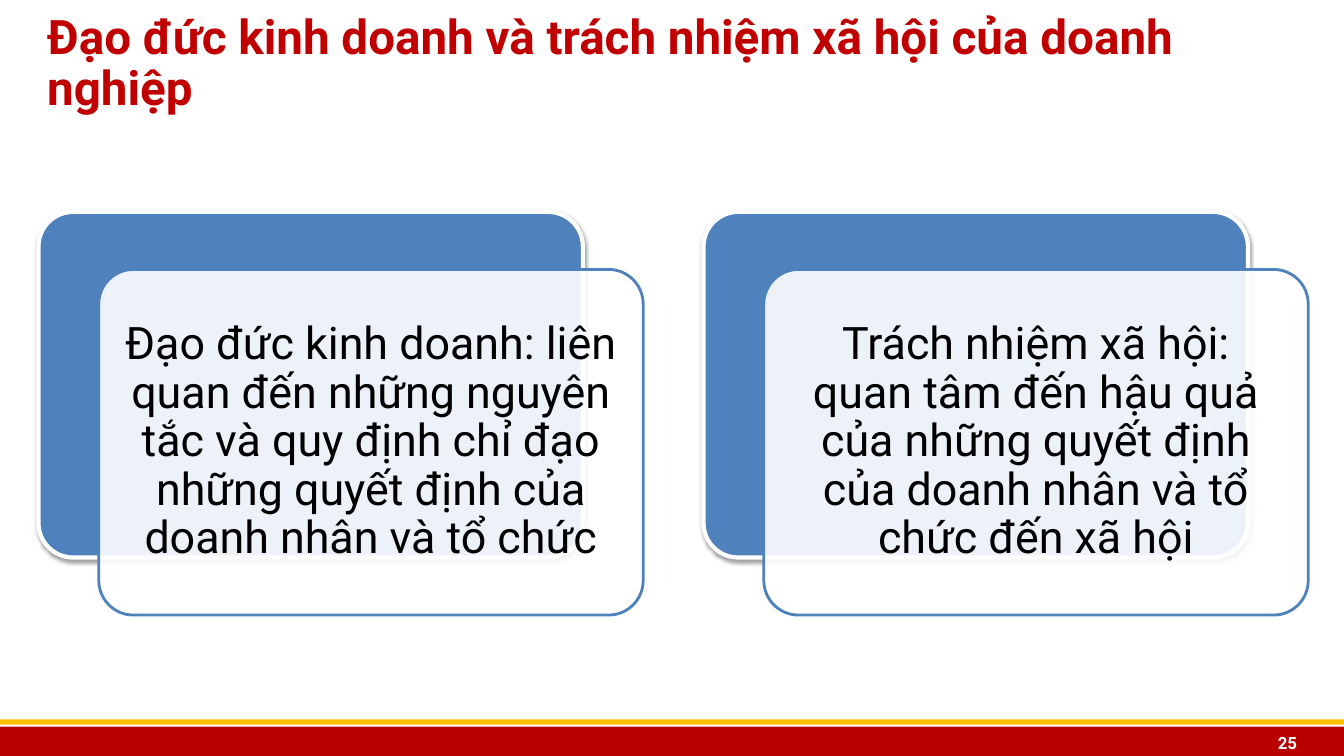
"""Build a slide on business ethics and corporate social responsibility."""
import dataclasses

import lxml.etree
import pptx
import pptx.dml.color
import pptx.enum.shapes
import pptx.enum.text
import pptx.oxml.ns
import pptx.util

Cm = pptx.util.Cm
Pt = pptx.util.Pt
ALIGN = pptx.enum.text.PP_ALIGN
SHAPE = pptx.enum.shapes.MSO_SHAPE
qn = pptx.oxml.ns.qn


@dataclasses.dataclass(frozen=True)
class Theme:
    """Colours, font and type sizes of the slide."""
    font: str = "Roboto"
    title: str = "C00000"
    band: str = "B80000"
    gold: str = "FFC000"
    blue: str = "4F81BD"
    white: str = "FFFFFF"
    black: str = "000000"
    title_size: int = 34
    card_size: int = 32
    number_size: int = 12


THEME = Theme()
WIDTH, HEIGHT = 33.87, 19.05
TITLE = "Đạo đức kinh doanh và trách nhiệm xã hội của doanh nghiệp"
CARDS = [
    "Đạo đức kinh doanh: liên quan đến những nguyên tắc và quy định chỉ đạo "
    "những quyết định của doanh nhân và tổ chức",
    "Trách nhiệm xã hội: quan tâm đến hậu quả của những quyết định của "
    "doanh nhân và tổ chức đến xã hội",
]


def colour(code):
    """Turn a hex code into a colour."""
    return pptx.dml.color.RGBColor.from_string(code)


def write(shape, text, size, code, align, bold=False, inset=(0.25, 0.13), spacing=1.0):
    """Write one middle-anchored paragraph into a shape."""
    frame = shape.text_frame
    frame.word_wrap = True
    frame.auto_size = pptx.enum.text.MSO_AUTO_SIZE.NONE
    frame.vertical_anchor = pptx.enum.text.MSO_ANCHOR.MIDDLE
    frame.margin_left = frame.margin_right = Cm(inset[0])
    frame.margin_top = frame.margin_bottom = Cm(inset[1])
    para = frame.paragraphs[0]
    para.alignment = align
    para.line_spacing = spacing
    para.space_before = Pt(0)
    span = para.add_run()
    span.text = text
    span.font.name = THEME.font
    span.font.size = Pt(size)
    span.font.bold = bold
    span.font.color.rgb = colour(code)


def add_panel(page, kind, box, fill, line=None, line_width=0):
    """Add a filled preset shape, outlined when a line colour is given."""
    panel = page.shapes.add_shape(kind, *map(Cm, box))
    panel.shadow.inherit = False
    panel.fill.solid()
    panel.fill.fore_color.rgb = colour(fill)
    if line:
        panel.line.color.rgb = colour(line)
        panel.line.width = Pt(line_width)
    else:
        panel.line.fill.background()
    return panel


def set_alpha(colour_element, percent):
    """Set the opacity of a colour element."""
    alpha = lxml.etree.SubElement(colour_element, qn("a:alpha"))
    alpha.set("val", str(percent * 1000))


def add_shadow(panel):
    """Give a panel a soft shadow that falls downwards."""
    effects = panel._element.spPr.find(qn("a:effectLst"))
    shadow = lxml.etree.SubElement(effects, qn("a:outerShdw"))
    shadow.set("blurRad", str(Pt(3.1)))
    shadow.set("dist", str(Pt(1.6)))
    shadow.set("dir", "5400000")
    shadow.set("rotWithShape", "0")
    tint = lxml.etree.SubElement(shadow, qn("a:srgbClr"), val=THEME.black)
    set_alpha(tint, 38)


def add_title(page, box):
    """Place and format the title placeholder."""
    title = page.shapes.title
    title.left, title.top, title.width, title.height = map(Cm, box)
    write(title, TITLE, THEME.title_size, THEME.title, ALIGN.LEFT, bold=True, spacing=0.9)
    title.text_frame.paragraphs[0].space_after = Pt(6)


def add_footer(page, box, number):
    """Draw the gold rule, the red band and the page number."""
    left, top, width, height = box
    add_panel(page, SHAPE.RECTANGLE, (left, top, width, 0.13), THEME.gold)
    band_box = (left, top + 0.18, width, height - 0.18)
    add_panel(page, SHAPE.RECTANGLE, band_box, THEME.band)
    number_box = (left + width - 3.14, top + 0.2, 2.21, 0.79)
    label = page.shapes.add_textbox(*map(Cm, number_box))
    write(label, number, THEME.number_size, THEME.white, ALIGN.RIGHT, bold=True, inset=(0.25, 0))


def add_card(page, box, text):
    """Draw a blue panel with a translucent text panel offset over it."""
    left, top, width, height = box
    shift_x, shift_y = 1.52, 1.45
    size = (width - shift_x, height - shift_y)
    back = add_panel(page, SHAPE.ROUNDED_RECTANGLE, (left, top, *size),
                     THEME.blue, THEME.white, 3)
    add_shadow(back)
    front = add_panel(page, SHAPE.ROUNDED_RECTANGLE, (left + shift_x, top + shift_y, *size),
                      THEME.white, THEME.blue, 2)
    set_alpha(front._element.spPr.find(qn("a:solidFill"))[0], 90)
    for panel in (back, front):
        panel.adjustments[0] = 0.1
    write(front, text, THEME.card_size, THEME.black, ALIGN.CENTER, inset=(0.37, 0.32), spacing=0.9)


def add_cards(page, box):
    """Share a row equally between the cards."""
    left, top, width, height = box
    gap = 1.52
    card_width = (width - gap * (len(CARDS) - 1)) / len(CARDS)
    for index, text in enumerate(CARDS):
        add_card(page, (left + index * (card_width + gap), top, card_width, height), text)


def main():
    """Build and save the deck."""
    deck = pptx.Presentation()
    deck.slide_width, deck.slide_height = Cm(WIDTH), Cm(HEIGHT)
    page = deck.slides.add_slide(deck.slide_layouts[5])
    add_footer(page, (0, 18.13, WIDTH, HEIGHT - 18.13), "25")
    add_title(page, (0.94, 0.13, 32, 3))
    add_cards(page, (0.97, 5.34, 32, 10.16))
    deck.save("out.pptx")


if __name__ == "__main__":
    main()
